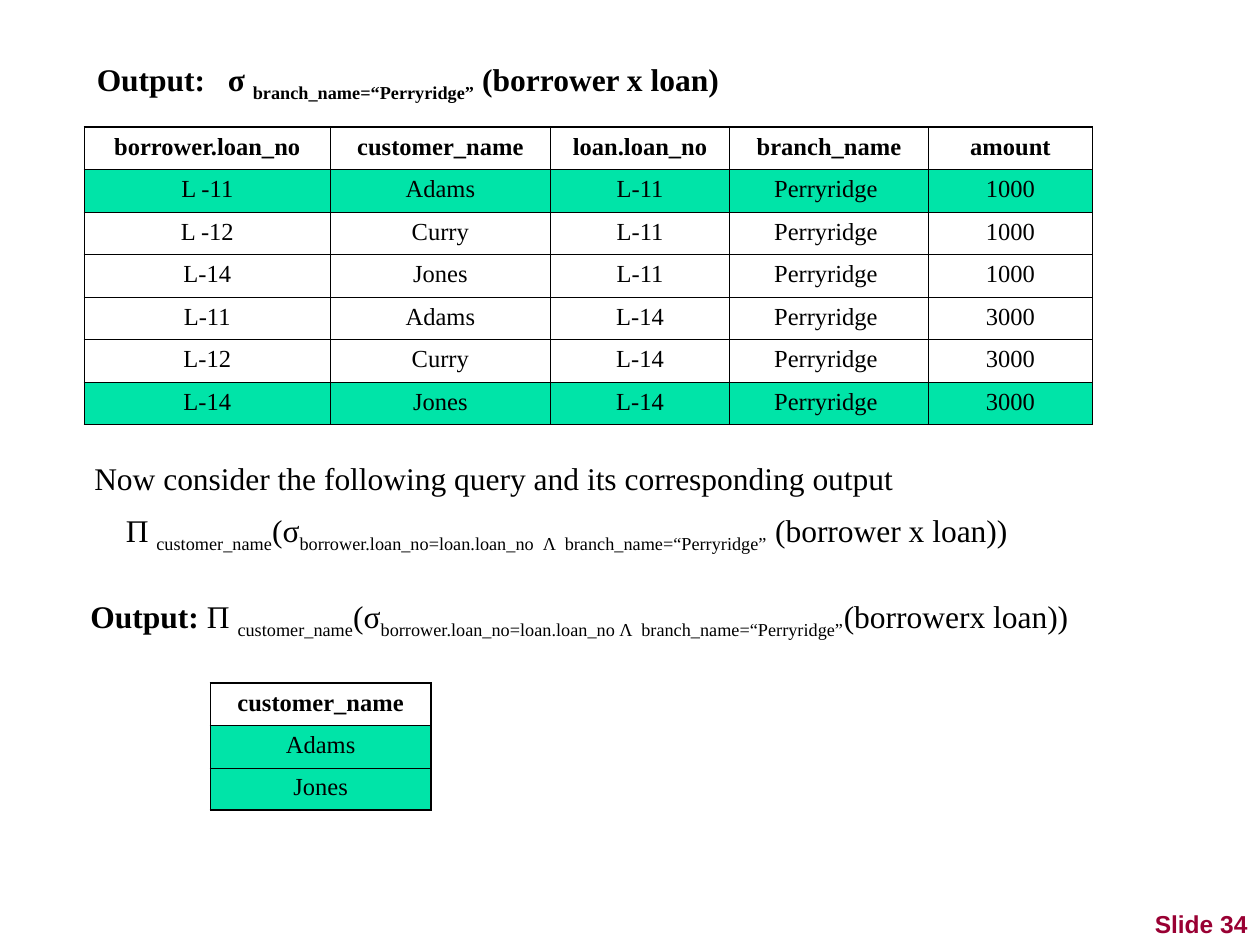
from lxml import etree
from pptx import Presentation
from pptx.dml.color import RGBColor
from pptx.enum.text import MSO_ANCHOR, MSO_AUTO_SIZE, PP_ALIGN
from pptx.oxml.ns import qn
from pptx.util import Inches, Pt

CENTER, RIGHT = PP_ALIGN.CENTER, PP_ALIGN.RIGHT
BOTTOM = MSO_ANCHOR.BOTTOM
FIT_TEXT = MSO_AUTO_SIZE.SHAPE_TO_FIT_TEXT

BLACK = RGBColor(0x00, 0x00, 0x00)
WHITE = RGBColor(0xFF, 0xFF, 0xFF)
GREEN = RGBColor(0x00, 0xE4, 0xA8)
CRIMSON = RGBColor(0x99, 0x00, 0x33)

SERIF, SANS = "Times New Roman", "Arial"
ROW_HEIGHT = Inches(2.36) // 7
OUTER_LINE, INNER_LINE = Pt(1.08), Pt(0.45)

PRODUCT_COLUMNS = [1.95, 1.75, 1.42, 1.58, 1.3]
PRODUCT_ROWS = [
    ["borrower.loan_no", "customer_name", "loan.loan_no", "branch_name", "amount"],
    ["L -11", "Adams", "L-11", "Perryridge ", "1000"],
    ["L -12", "Curry", "L-11", "Perryridge ", "1000"],
    ["L-14", "Jones", "L-11", "Perryridge ", "1000"],
    ["L-11", "Adams", "L-14", "Perryridge ", "3000"],
    ["L-12", "Curry", "L-14", "Perryridge ", "3000"],
    ["L-14", "Jones", "L-14", "Perryridge ", "3000"],
]
RESULT_ROWS = [["customer_name"], ["Adams"], ["Jones"]]


def add_span(para, text, size=18, bold=False, subscript=False, font=SERIF, color=BLACK):
    """Append one formatted run to a paragraph."""
    span = para.add_run()
    span.text = text
    span.font.name = font
    span.font.size = Pt(size)
    span.font.bold = bold
    span.font.color.rgb = color
    if subscript:
        span.font._element.set("baseline", "-25000")


def add_box(page, left, top, width, height):
    """Add a wrapping text box that grows with its text; return the box."""
    box = page.shapes.add_textbox(Inches(left), Inches(top), Inches(width), Inches(height))
    box.text_frame.word_wrap = True
    box.text_frame.auto_size = FIT_TEXT
    return box


def add_formula(page, left, top, width, pieces, lead="", bold=False, tab=None):
    """Add a relational formula whose pieces alternate normal and subscript."""
    para = add_box(page, left, top, width, 0.44).text_frame.paragraphs[0]
    if tab:
        stops = etree.SubElement(para._p.get_or_add_pPr(), qn("a:tabLst"))
        etree.SubElement(stops, qn("a:tab"), pos=str(Inches(tab)), algn="l")
    if lead:
        add_span(para, lead, bold=True)
    for index, piece in enumerate(pieces):
        add_span(para, piece, bold=bold, subscript=index % 2 == 1)


def set_borders(cell, widths):
    """Draw the left, right, top and bottom borders of a cell."""
    properties = cell._tc.get_or_add_tcPr()
    for index, (side, width) in enumerate(zip("LRTB", widths)):
        line = etree.Element(qn("a:ln" + side), w=str(width))
        fill = etree.SubElement(line, qn("a:solidFill"))
        etree.SubElement(fill, qn("a:srgbClr"), val=str(BLACK))
        properties.insert(index, line)


def add_grid(page, left, top, columns, rows, green_rows):
    """Add a table with a bold header, a thick frame and highlighted rows."""
    last_row, last_column = len(rows) - 1, len(columns) - 1
    frame = page.shapes.add_table(
        len(rows), len(columns), Inches(left), Inches(top),
        Inches(sum(columns)), ROW_HEIGHT * len(rows))
    table = frame.table
    for column, width in zip(table.columns, columns):
        column.width = Inches(width)
    for r, row in enumerate(rows):
        for c, text in enumerate(row):
            cell = table.cell(r, c)
            cell.fill.solid()
            cell.fill.fore_color.rgb = GREEN if r in green_rows else WHITE
            edges = (c == 0, c == last_column, r == 0, r == last_row)
            set_borders(cell, [OUTER_LINE if edge else INNER_LINE for edge in edges])
            para = cell.text_frame.paragraphs[0]
            para.alignment = CENTER
            para.space_before = Pt(3.5)
            add_span(para, text, size=14, bold=r == 0)


def add_sentence(page):
    """Add the line that introduces the second query."""
    para = add_box(page, 0.65, 3.59, 6.7, 0.4).text_frame.paragraphs[0]
    add_span(para, "Now consider the following query and its corresponding output")


def add_slide_label(page):
    """Add the slide label in the bottom right corner."""
    box = page.shapes.add_textbox(Inches(7.92), Inches(7), Inches(2.08), Inches(0.5))
    box.text_frame.word_wrap = True
    box.text_frame.vertical_anchor = BOTTOM
    para = box.text_frame.paragraphs[0]
    para.alignment = RIGHT
    add_span(para, "Slide 34", size=14, bold=True, font=SANS, color=CRIMSON)


def main():
    """Build the slide and save the deck."""
    deck = Presentation()
    deck.slide_width, deck.slide_height = Inches(10), Inches(7.5)
    page = deck.slides.add_slide(deck.slide_layouts[6])

    add_sentence(page)
    add_formula(page, 0.9, 4.01, 8.75, [
        "Π ", "customer_name", "(σ",
        "borrower.loan_no=loan.loan_no  Λ  branch_name=“Perryridge”",
        " (borrower x loan))"])
    add_grid(page, 1.67, 5.42, [1.75], RESULT_ROWS, {1, 2})
    add_formula(page, 0.62, 4.69, 9.33, [
        "Π ", "customer_name", "(σ",
        "borrower.loan_no=loan.loan_no Λ  branch_name=“Perryridge”",
        "(borrowerx loan))"], lead="Output: ")
    add_grid(page, 0.67, 1.01, PRODUCT_COLUMNS, PRODUCT_ROWS, {1, 6})
    add_formula(page, 0.67, 0.43, 8, [
        "σ ", "branch_name=“Perryridge”", " (borrower x loan)"],
        lead="Output:\t", bold=True, tab=1.04)
    add_slide_label(page)
    deck.save("out.pptx")


main()
